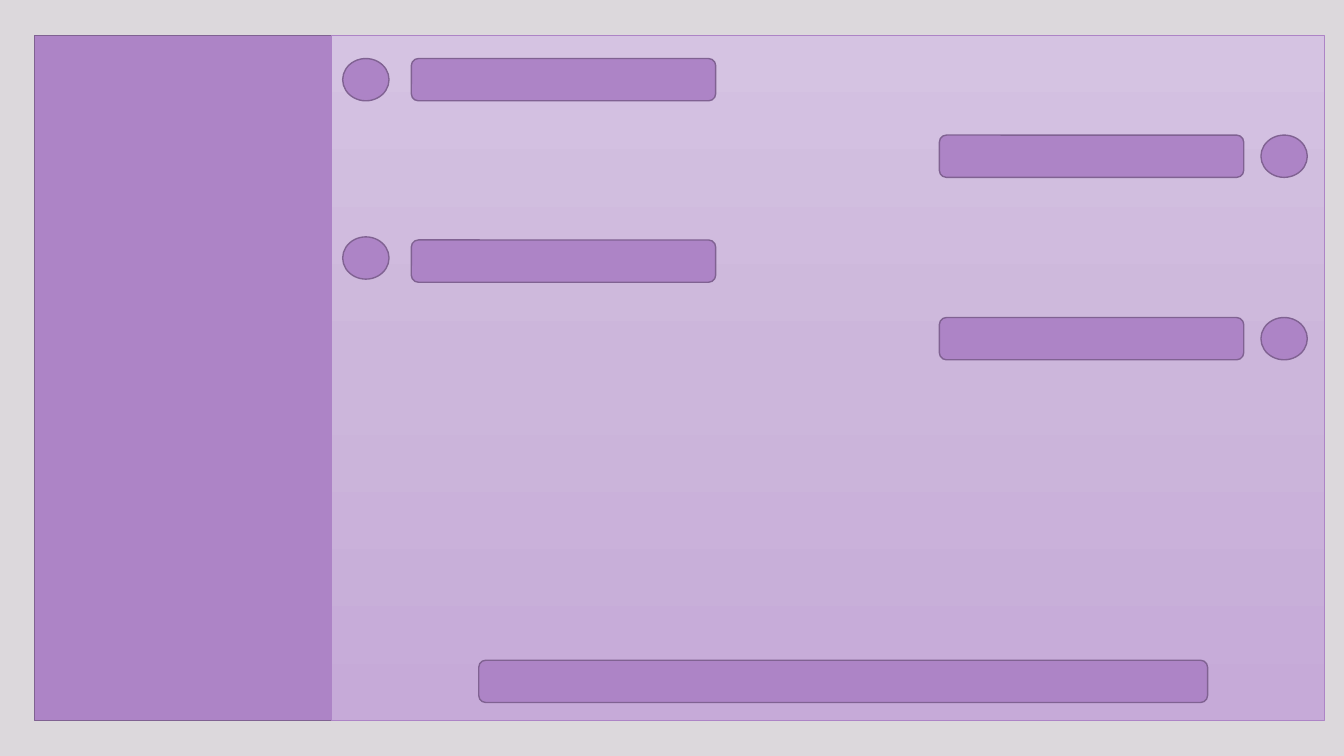
"""Build a chat window wireframe slide with a sidebar, messages and an input bar."""
from copy import deepcopy
from dataclasses import dataclass

from pptx import Presentation
from pptx.dml.color import RGBColor
from pptx.enum.shapes import MSO_SHAPE
from pptx.oxml.ns import qn
from pptx.util import Pt

SLIDE_SIZE = (960, 540)
WINDOW = {"left": 24.5, "top": 25.2, "width": 921.6, "height": 489.6}
SIDEBAR_WIDTH = 212.4
INPUT_BAR = (342, 471.6, 520.6, 30.2)
BUBBLE_SIZE = (217.4, 30.2)
AVATAR_SIZE = (33.1, 30.2)
SIDES = {
    "received": {"bubble": 293.8, "avatar": 244.8},
    "sent": {"bubble": 671, "avatar": 900.7},
}
MESSAGES = [
    {"side": "received", "bubble_top": 41.8, "avatar_top": 41.8},
    {"side": "sent", "bubble_top": 96.5, "avatar_top": 96.5},
    {"side": "received", "bubble_top": 171.4, "avatar_top": 169.2},
    {"side": "sent", "bubble_top": 226.8, "avatar_top": 226.8},
]


@dataclass(frozen=True)
class Theme:
    background: str = "DCD8DC"
    accent: str = "AD84C6"
    outline: str = "806292"
    outline_width: float = 1
    panel_outline_width: float = 0.5
    panel_gradient: tuple = ((0, "D5C3E2"), (0.5, "CCB6DB"), (1, "C6AAD8"))


THEME = Theme()


def add_box(slide, preset, box, line_color=THEME.outline, line_width=THEME.outline_width):
    shape = slide.shapes.add_shape(preset, *[Pt(length) for length in box])
    shape.shadow.inherit = False
    shape.fill.solid()
    shape.fill.fore_color.rgb = RGBColor.from_string(THEME.accent)
    shape.line.color.rgb = RGBColor.from_string(line_color)
    shape.line.width = Pt(line_width)
    return shape


def apply_gradient(shape, stops):
    shape.fill.gradient()
    shape.fill.gradient_angle = 270
    stop_list = next(shape.element.iter(qn("a:gsLst")))
    while len(stop_list) < len(stops):
        stop_list.append(deepcopy(stop_list[0]))
    for stop, (position, color) in zip(shape.fill.gradient_stops, stops):
        stop.position = position
        stop.color.rgb = RGBColor.from_string(color)


def add_window(slide):
    left, top, width, height = WINDOW.values()
    add_box(slide, MSO_SHAPE.RECTANGLE, (left, top, SIDEBAR_WIDTH, height))
    panel_box = (left + SIDEBAR_WIDTH, top, width - SIDEBAR_WIDTH, height)
    panel = add_box(
        slide, MSO_SHAPE.RECTANGLE, panel_box, THEME.accent, THEME.panel_outline_width
    )
    apply_gradient(panel, THEME.panel_gradient)
    add_box(slide, MSO_SHAPE.ROUNDED_RECTANGLE, INPUT_BAR)


def add_message(slide, message):
    side = SIDES[message["side"]]
    bubble_box = (side["bubble"], message["bubble_top"], *BUBBLE_SIZE)
    avatar_box = (side["avatar"], message["avatar_top"], *AVATAR_SIZE)
    add_box(slide, MSO_SHAPE.ROUNDED_RECTANGLE, bubble_box)
    add_box(slide, MSO_SHAPE.OVAL, avatar_box)


def main():
    presentation = Presentation()
    presentation.slide_width, presentation.slide_height = map(Pt, SLIDE_SIZE)
    slide = presentation.slides.add_slide(presentation.slide_layouts.get_by_name("Blank"))
    slide.background.fill.solid()
    slide.background.fill.fore_color.rgb = RGBColor.from_string(THEME.background)
    add_window(slide)
    for message in MESSAGES:
        add_message(slide, message)
    presentation.save("out.pptx")


if __name__ == "__main__":
    main()
